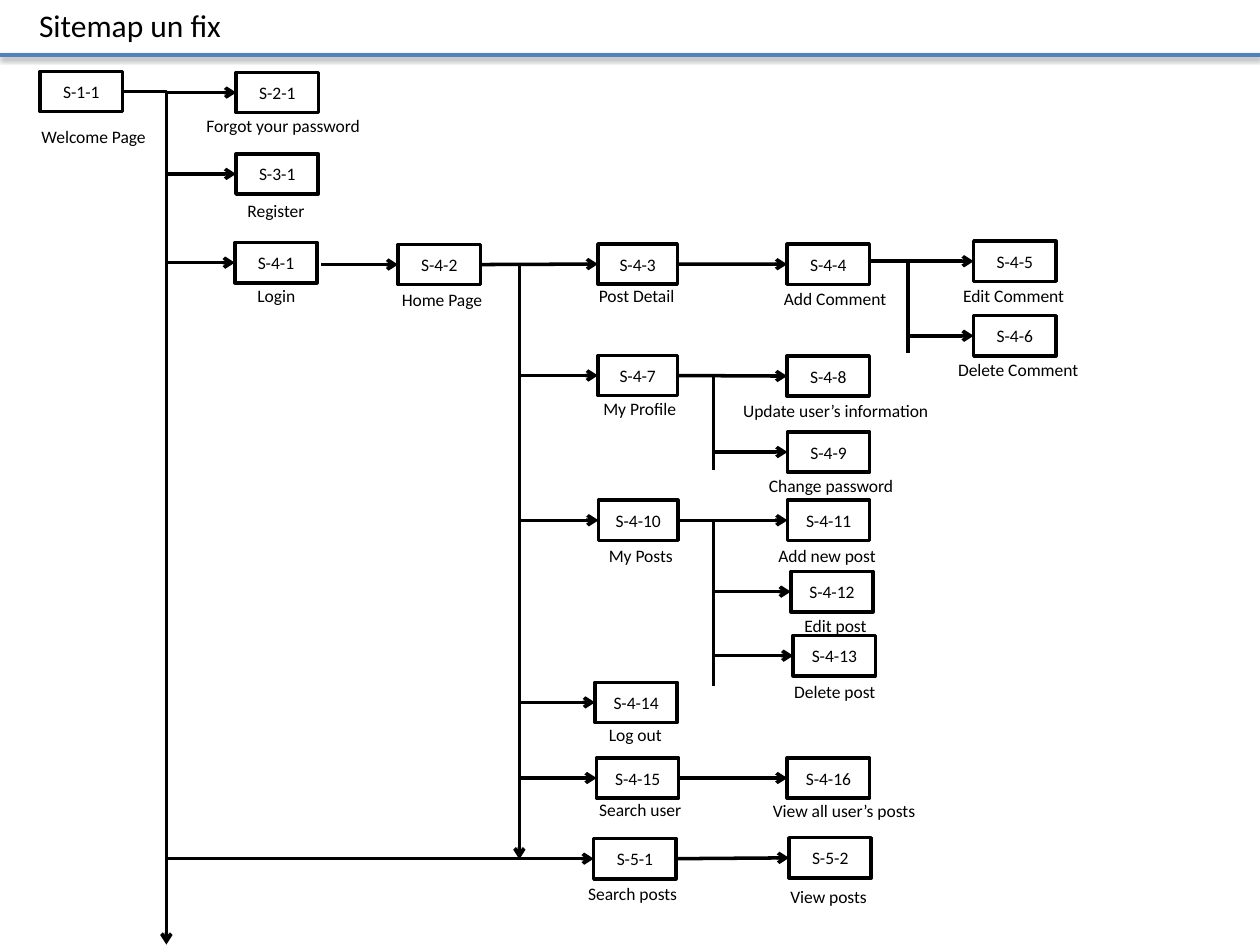
import dataclasses
import pptx
import pptx.util
import pptx.dml.color
import pptx.enum.shapes
import pptx.enum.text
import pptx.oxml
import pptx.oxml.ns

Pt = pptx.util.Pt
Align = pptx.enum.text.PP_ALIGN
Anchor = pptx.enum.text.MSO_ANCHOR
Kind = pptx.enum.shapes.MSO_CONNECTOR
RIGHT_SITE, LEFT_SITE = 3, 1


@dataclasses.dataclass(frozen=True)
class Theme:
    font: str = "Calibri"
    ink: str = "000000"
    paper: str = "FFFFFF"
    accent: str = "4F81BD"
    title_size: float = 18
    text_size: float = 10
    stroke: float = 2
    box_width: float = 47
    box_height: float = 23
    label_height: float = 19.4


def color(value):
    return pptx.dml.color.RGBColor.from_string(value)


def element(body):
    return pptx.oxml.parse_xml(body.replace(" ", f" {pptx.oxml.ns.nsdecls('a')} ", 1))


def middle(box):
    return box.top + box.height // 2


def write(frame, text, *, font, size, ink, align=Align.LEFT, anchor=Anchor.TOP, wrap=False):
    frame.word_wrap = wrap
    frame.auto_size = pptx.enum.text.MSO_AUTO_SIZE.NONE
    frame.vertical_anchor = anchor
    para = frame.paragraphs[0]
    para.alignment = align
    span = para.add_run()
    span.text = text
    span.font.name = font
    span.font.size = Pt(size)
    span.font.color.rgb = color(ink)


class Sitemap:
    def __init__(self, deck, theme):
        self.theme = theme
        self.page = deck.slides.add_slide(deck.slide_layouts[5])

    def text(self, frame, text, size, **format):
        write(frame, text, font=self.theme.font, size=size, ink=self.theme.ink, **format)

    def title(self, text, left, top, width, height):
        title = self.page.shapes.title
        title.left, title.top, title.width, title.height = map(Pt, (left, top, width, height))
        self.text(title.text_frame, text, self.theme.title_size)

    def box(self, code, left, top, width=None):
        theme = self.theme
        box = self.page.shapes.add_shape(
            pptx.enum.shapes.MSO_SHAPE.RECTANGLE,
            Pt(left), Pt(top), Pt(width or theme.box_width), Pt(theme.box_height))
        box.shadow.inherit = False
        box.fill.solid()
        box.fill.fore_color.rgb = color(theme.paper)
        box.line.color.rgb = color(theme.ink)
        box.line.width = Pt(theme.stroke)
        self.text(box.text_frame, code, theme.text_size,
                  align=Align.CENTER, anchor=Anchor.MIDDLE, wrap=True)
        return box

    def label(self, text, left, top, width):
        label = self.page.shapes.add_textbox(
            Pt(left), Pt(top), Pt(width), Pt(self.theme.label_height))
        self.text(label.text_frame, text, self.theme.text_size)

    def line(self, start, end, kind=Kind.STRAIGHT, arrow=True, ink=None, effects="<a:effectLst />"):
        line = self.page.shapes.add_connector(kind, *start, *end)
        line.line.color.rgb = color(ink or self.theme.ink)
        line.line.width = Pt(self.theme.stroke)
        if arrow:
            line.line._get_or_add_ln().append(element('<a:tailEnd type="arrow"/>'))
        line._element.spPr.append(element(effects))
        return line

    def link(self, source, target):
        line = self.line((source.left + source.width, middle(source)),
                         (target.left, middle(target)))
        line.begin_connect(source, RIGHT_SITE)
        line.end_connect(target, LEFT_SITE)

    def branch(self, start, target):
        line = self.line((Pt(start), middle(target)), (target.left, middle(target)))
        line.end_connect(target, LEFT_SITE)

    def trunk(self, left, top, bottom, arrow=False):
        self.line((Pt(left), Pt(top)), (Pt(left), Pt(bottom)), arrow=arrow)

    def corner(self, source, left, bottom):
        start = source.left + source.width, middle(source)
        line = self.line(start, (Pt(left), Pt(bottom)), kind=Kind.ELBOW)
        line._element.spPr.prstGeom.set("prst", "bentConnector2")

    def rule(self, top, width):
        shadow = ('<a:effectLst ><a:outerShdw blurRad="40000" dist="20000" dir="5400000" '
                  'rotWithShape="0"><a:srgbClr val="000000"><a:alpha val="38000"/>'
                  '</a:srgbClr></a:outerShdw></a:effectLst>')
        self.line((0, Pt(top)), (Pt(width), Pt(top)), arrow=False,
                  ink=self.theme.accent, effects=shadow)


NARROW = 45.4
SCREENS = [
    ("S-1-1", (23, 40.8), "Welcome Page", (16.6, 68.4, 75.6)),
    ("S-2-1", (135, 41.4), "Forgot your password", (110.9, 62.2, 103.7)),
    ("S-3-1", (134.9, 87.9), "Register", (134.3, 110.9, 49)),
    ("S-4-1", (134.2, 138.6), "Login", (140, 159.5, 36.7)),
    ("S-4-2", (227.5, 139.7), "Home Page", (222.5, 161.6, 61.2)),
    ("S-4-3", (341.7, 139.4, NARROW), "Post Detail", (335.1, 159.1, 58.3)),
    ("S-4-4", (449.8, 139.5), "Add Comment", (440.9, 160.9, 74.2)),
    ("S-4-5", (556.4, 137.8), "Edit Comment", (543.2, 159.1, 73.4)),
    ("S-4-6", (556.4, 180.4), "Delete Comment", (540.4, 201.6, 84.2)),
    ("S-4-7", (341.7, 203.1, NARROW), "My Profile", (337.7, 223.9, 56.9)),
    ("S-4-8", (449.8, 203.4), "Update user’s information", (417.6, 225, 122.4)),
    ("S-4-9", (450, 246.8), "Change password", (432.3, 267.8, 86.4)),
    ("S-4-10", (342, 285.8, NARROW), "My Posts", (340.8, 307.7, 51.8)),
    ("S-4-11", (450, 285.8), "Add new post", (437.7, 307.8, 71.3)),
    ("S-4-12", (451.9, 326.6), "Edit post", (452.6, 347.8, 50.4)),
    ("S-4-13", (453.3, 363.2), "Delete post", (446.8, 385.5, 61.9)),
    ("S-4-14", (340, 389.9), "Log out", (340.8, 410.4, 45.4)),
    ("S-4-15", (340.9, 433.1), "Search user", (335.3, 453, 61.9)),
    ("S-4-16", (449.9, 433.1), "View all user’s posts", (434.5, 453.6, 97.2)),
    ("S-5-1", (339.3, 479.2), "Search posts", (329, 501.1, 66.2)),
    ("S-5-2", (450.9, 478.7), "View posts", (444.5, 502.6, 59)),
]
LINKS = [
    ("S-4-2", "S-4-3"), ("S-4-3", "S-4-4"), ("S-4-7", "S-4-8"),
    ("S-4-10", "S-4-11"), ("S-4-15", "S-4-16"), ("S-5-1", "S-5-2"),
]
LOGIN, ADD_COMMENT = 183.6, 496.8
WELCOME, HOME, SECTION, COMMENT = 95.1, 296.8, 407.6, 519
BRANCHES = {
    WELCOME: ["S-2-1", "S-3-1", "S-4-1", "S-5-1"],
    LOGIN: ["S-4-2"],
    HOME: ["S-4-7", "S-4-10", "S-4-14", "S-4-15"],
    SECTION: ["S-4-9", "S-4-12", "S-4-13"],
    ADD_COMMENT: ["S-4-5"],
    COMMENT: ["S-4-6"],
}
TRUNKS = [(SECTION, 214.6, 268.4), (SECTION, 297.4, 392), (COMMENT, 149, 201.6)]

deck = pptx.Presentation()
deck.slide_width, deck.slide_height = Pt(720), Pt(540)
sitemap = Sitemap(deck, Theme())
sitemap.rule(31.4, 720)
sitemap.title("Sitemap un fix", 15.1, 0, 119.5, 28.8)

boxes = {}
for code, place, name, label_place in SCREENS:
    boxes[code] = sitemap.box(code, *place)
    sitemap.label(name, *label_place)
for source, target in LINKS:
    sitemap.link(boxes[source], boxes[target])
for start, targets in BRANCHES.items():
    for target in targets:
        sitemap.branch(start, boxes[target])
for trunk in TRUNKS:
    sitemap.trunk(*trunk)
sitemap.trunk(HOME, 151.2, 491, arrow=True)
sitemap.corner(boxes["S-1-1"], WELCOME, 539.8)

deck.save("out.pptx")
